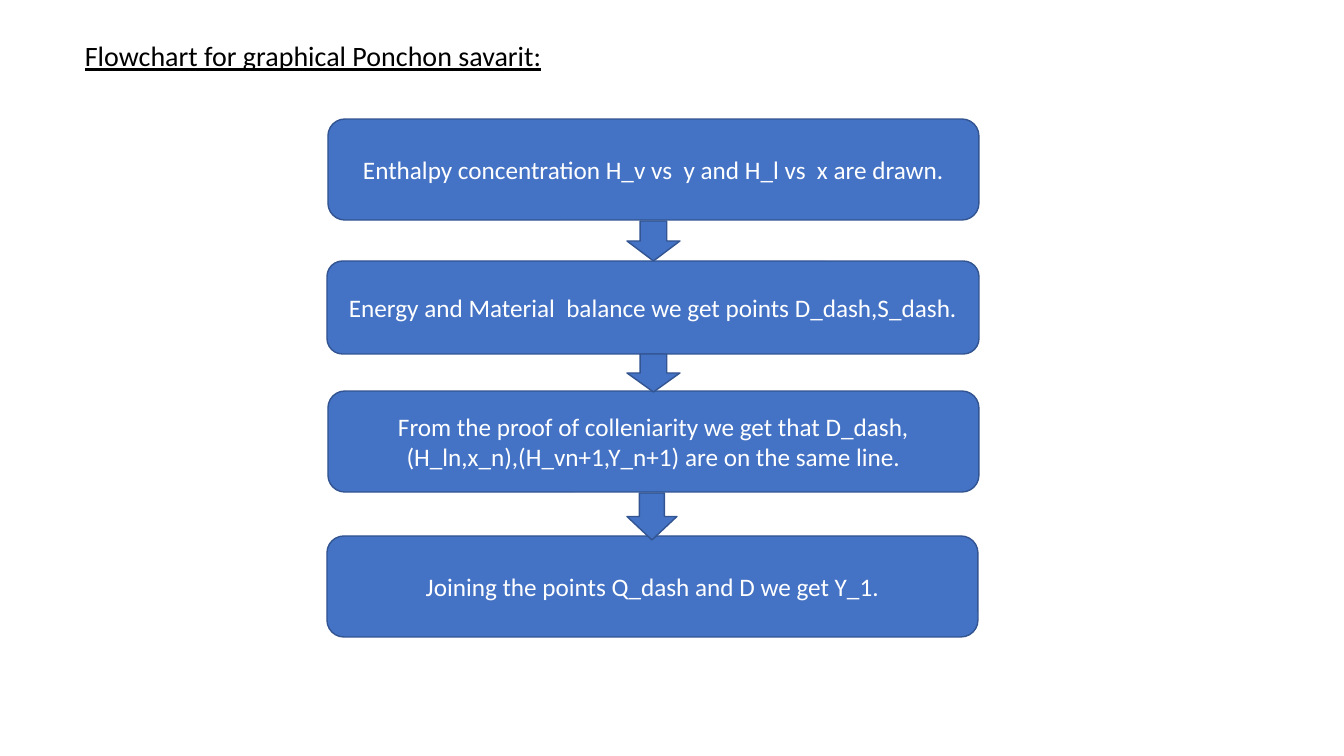
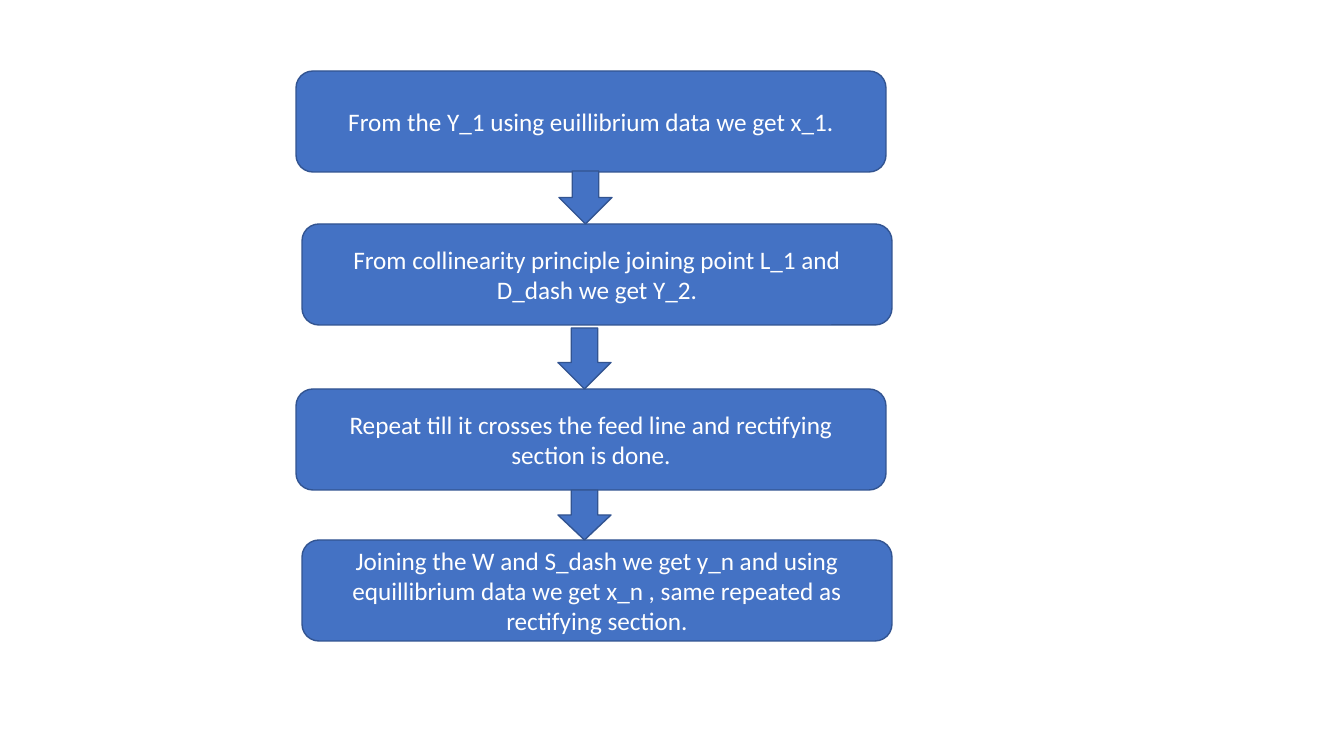
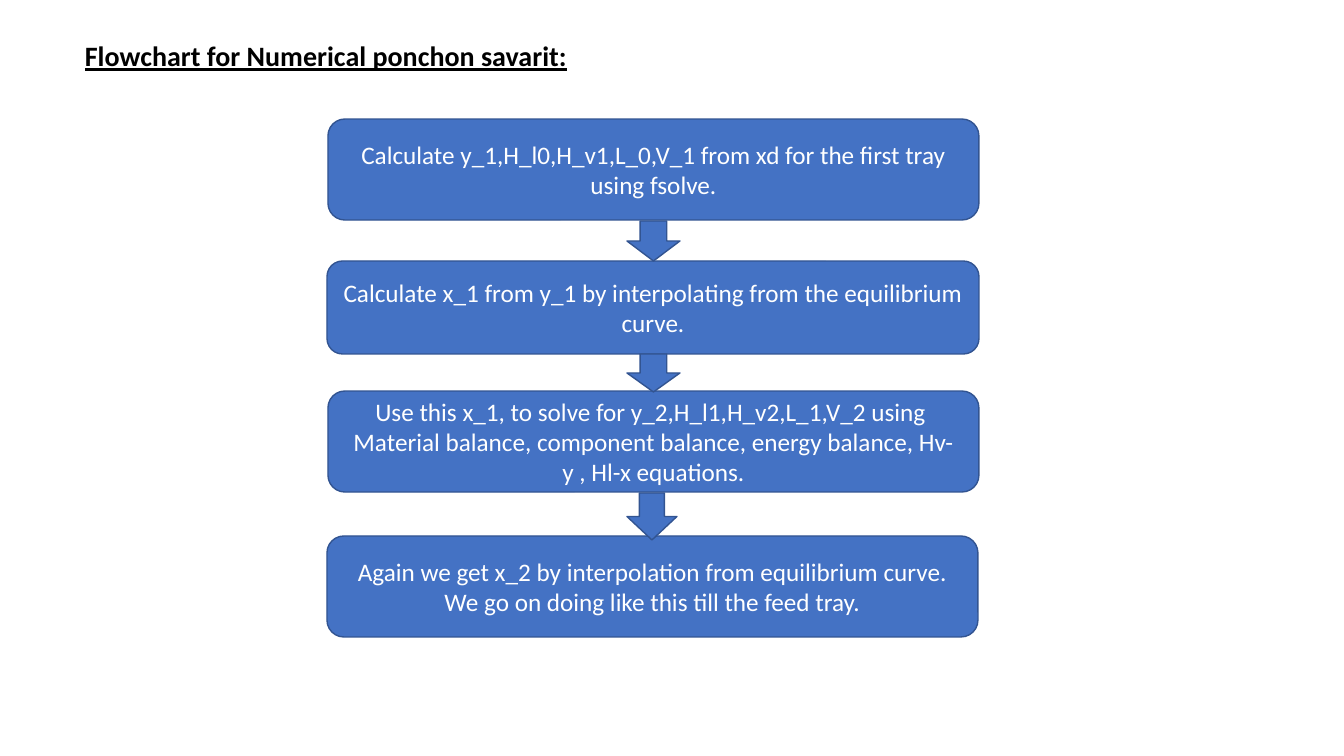
from pptx import Presentation
from pptx.util import Emu, Pt
from pptx.dml.color import RGBColor as Rgb
from pptx.enum.shapes import MSO_SHAPE as Kind
from pptx.enum.text import MSO_ANCHOR as Anchor, MSO_AUTO_SIZE as Fit, PP_ALIGN as Align

SCALE = 914400 / 100.8
FONT = "Calibri"
COLORS = {"fill": "4472C4", "edge": "325491", "light": "FFFFFF", "dark": "000000"}


def px(n):
    """Turn pixels into EMU."""
    return Emu(round(n * SCALE))


def color(name):
    """Look up a colour by name."""
    return Rgb.from_string(COLORS[name])


def write(frame, text, size=18, ink="light", bold=False, under=False,
          align=Align.CENTER, anchor=Anchor.MIDDLE):
    """Put text in a frame, one paragraph for each line."""
    frame.word_wrap = True
    frame.vertical_anchor = anchor
    frame.text = text
    for para in frame.paragraphs:
        para.alignment = align
        for run in para.runs:
            font = run.font
            font.name, font.size = FONT, Pt(size)
            font.bold, font.underline = bold, under
            font.color.rgb = color(ink)


class Deck:
    """Holds the file, its style and the current slide."""

    def __init__(self):
        """Start an empty wide deck."""
        self.file = Presentation()
        self.file.slide_width, self.file.slide_height = px(1344), px(756)
        self.slide = None

    def page(self):
        """Add a blank slide."""
        self.slide = self.file.slides.add_slide(self.file.slide_layouts[6])

    def title(self, text, bold=False):
        """Add an underlined heading."""
        box = self.slide.shapes.add_textbox(px(75), px(34), px(621), px(44))
        write(box.text_frame, text, size=20, ink="dark", bold=bold, under=True,
              align=Align.LEFT, anchor=Anchor.TOP)
        box.text_frame.auto_size = Fit.SHAPE_TO_FIT_TEXT

    def shape(self, kind, *place):
        """Add a filled and outlined shape."""
        item = self.slide.shapes.add_shape(kind, *map(px, place))
        item.shadow.inherit = False
        item.fill.solid()
        item.fill.fore_color.rgb = color("fill")
        item.line.color.rgb = color("edge")
        item.line.width = Pt(1)
        return item

    def step(self, text, *place):
        """Add a rounded box with its text."""
        write(self.shape(Kind.ROUNDED_RECTANGLE, *place).text_frame, text)

    def arrow(self, *place):
        """Add a block arrow that points down."""
        self.shape(Kind.DOWN_ARROW, *place)

    def flow(self, texts, boxes, arrows):
        """Draw the steps, then the arrows between them."""
        for text, place in zip(texts, boxes):
            self.step(text, *place)
        for place in arrows:
            self.arrow(*place)


# Places are left, top, width, height
WIDE = {
    "boxes": [(328, 119, 651, 101), (327, 261, 652, 93),
              (328, 391, 651, 101), (327, 536, 651, 101)],
    "arrows": [(627, 221, 53, 40), (627, 354, 53, 38), (627, 493, 50, 47)],
}
SLIM = {
    "boxes": [(left, top, 590, 101)
              for left, top in zip((296, 302) * 2, (71, 224, 389, 540))],
    "arrows": [(559, 171, 53, 53), (558, 328, 53, 61), (558, 490, 53, 50)],
}

GRAPH = [
    "Enthalpy concentration H_v vs\u00a0 y and H_l vs\u00a0 x are drawn.",
    "Energy and Material\u00a0 balance we get points D_dash,S_dash.",
    "From the proof of colleniarity we get that D_dash,"
    "(H_ln,x_n),(H_vn+1,Y_n+1) are on the same line.",
    "Joining the points Q_dash and D we get Y_1.",
]
TRAYS = [
    "From the Y_1 using euillibrium data we get x_1.",
    "From collinearity principle joining point L_1 and D_dash we get Y_2.",
    "Repeat till it crosses the feed line and rectifying section is done.",
    "Joining the W and S_dash we get y_n and using equillibrium data "
    "we get x_n , same repeated as rectifying section.",
]
SOLVE = [
    "Calculate y_1,H_l0,H_v1,L_0,V_1 from xd for the first tray using fsolve.",
    "Calculate x_1 from y_1 by interpolating from the equilibrium curve.",
    "Use this x_1, to solve for y_2,H_l1,H_v2,L_1,V_2 using\u00a0\n"
    "Material balance, component balance, energy balance, Hv-y , Hl-x equations.",
    "Again we get x_2 by interpolation from equilibrium curve. "
    "We go on doing like this till the feed tray.",
]

deck = Deck()

deck.page()
deck.title("Flowchart for graphical Ponchon savarit:")
deck.flow(GRAPH, **WIDE)

deck.page()
deck.flow(TRAYS, **SLIM)

deck.page()
deck.title("Flowchart for Numerical ponchon savarit:", bold=True)
deck.flow(SOLVE, **WIDE)

deck.file.save("out.pptx")
